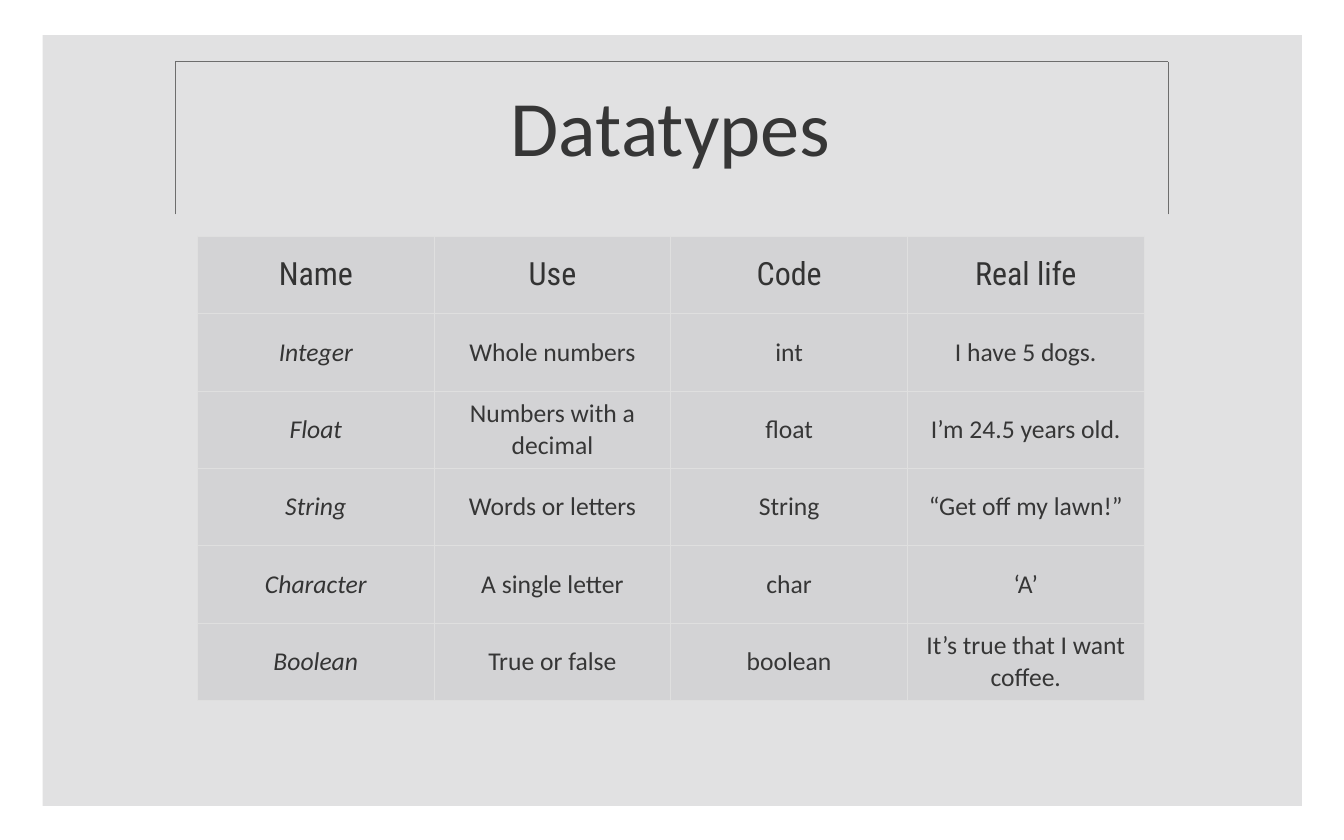
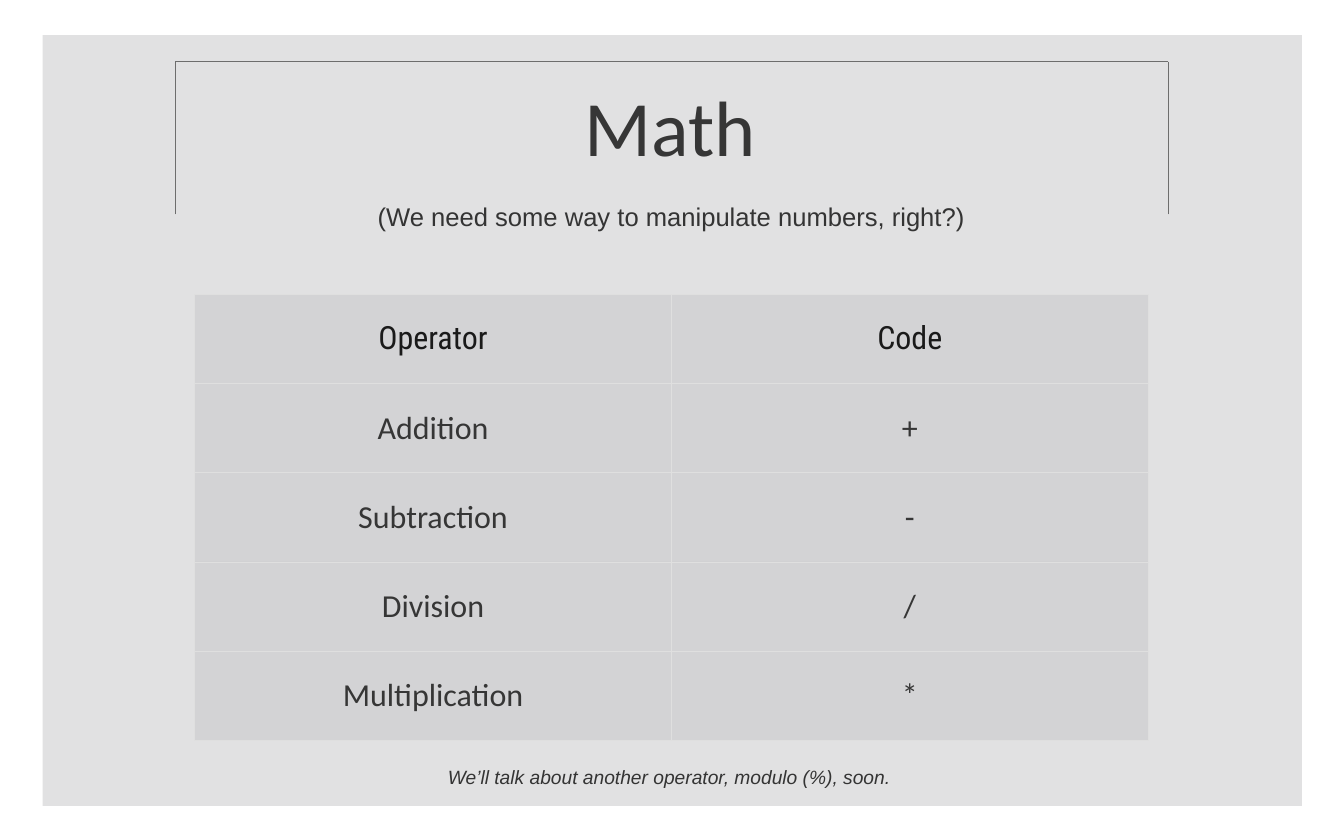
from dataclasses import dataclass
from lxml import etree
from pptx import Presentation
from pptx.dml.color import RGBColor
from pptx.enum.shapes import MSO_CONNECTOR, MSO_SHAPE
from pptx.enum.text import MSO_ANCHOR, PP_ALIGN
from pptx.oxml.ns import qn
from pptx.util import Inches, Pt

RECT, LINE = MSO_SHAPE.RECTANGLE, MSO_CONNECTOR.STRAIGHT
CENTER, MIDDLE = PP_ALIGN.CENTER, MSO_ANCHOR.MIDDLE


# Colours, fonts and type sizes
@dataclass(frozen=True)
class Theme:
    gray: str = "B5B5B7"
    frame: str = "6D6D6D"
    grid: str = "DFDFDF"
    ink: str = "363636"
    note: str = "343434"
    body: str = "Calibri"
    head: str = "Roboto Condensed"
    plain: str = "Arial"
    title: int = 98
    large: int = 40
    normal: int = 32
    small: int = 24
    rule: float = 0.96


T = Theme()
WIDTH, HEIGHT = 23.34, 14.58

# Content
SLIDES = [
    {
        "title": "Datatypes",
        "table": {
            "box": (3.43, 4.1, 16.44, 8.06),
            "head": "333333", "size": T.normal, "slant": True,
            "rows": [
                ("Name", "Use", "Code", "Real life"),
                ("Integer", "Whole numbers", "int", "I have 5 dogs."),
                ("Float", "Numbers with a decimal", "float",
                 "I’m 24.5 years old."),
                ("String", "Words or letters", "String",
                 "“Get off my lawn!”"),
                ("Character", "A single letter", "char", "‘A’"),
                ("Boolean", "True or false", "boolean",
                 "It’s true that I want coffee."),
            ],
        },
        "notes": [],
    },
    {
        "title": "Math",
        "table": {
            "box": (3.38, 5.11, 16.56, 7.74),
            "head": "1A1A1A", "size": T.large, "slant": False,
            "rows": [
                ("Operator", "Code"),
                ("Addition", "+"),
                ("Subtraction", "-"),
                ("Division", "/"),
                ("Multiplication", "*"),
            ],
        },
        "notes": [
            ("(We need some way to manipulate numbers, right?)",
             (3.53, 3.39, 16.26, 0.62), T.normal, False),
            ("We’ll talk about another operator, modulo (%), soon.",
             (3.49, 13.2, 16.26, 0.5), T.small, True),
        ],
    },
]


def write(frame, text, size, font=T.body, color=T.ink, italic=False,
          spacing=None):
    frame.word_wrap = True
    para = frame.paragraphs[0]
    para.alignment = CENTER
    if spacing:
        para.line_spacing = spacing
    run = para.add_run()
    run.text = text
    run.font.size, run.font.name, run.font.italic = Pt(size), font, italic
    run.font.color.rgb = RGBColor.from_string(color)


def add_text(slide, text, box, **form):
    frame = slide.shapes.add_textbox(*map(Inches, box)).text_frame
    frame.margin_left = frame.margin_right = 0
    frame.margin_top = frame.margin_bottom = 0
    frame.vertical_anchor = MIDDLE
    write(frame, text, **form)


def tint(fill, node, alpha):
    """Fill with translucent gray; alpha is in percent."""
    fill.solid()
    fill.fore_color.rgb = RGBColor.from_string(T.gray)
    color = node.find(qn("a:solidFill")).find(qn("a:srgbClr"))
    etree.SubElement(color, qn("a:alpha"), val=str(alpha * 1000))


def add_frame(slide):
    # Gray panel
    panel = slide.shapes.add_shape(
        RECT, *map(Inches, (0.74, 0.61, 21.87, 13.38)))
    panel.shadow.inherit = False
    panel.line.fill.background()
    tint(panel.fill, panel._element.spPr, 40)
    # Open bracket round the title
    left, right, top, foot = 3.04, 20.29, 1.07, 3.72
    for ends in ((left, foot, left, top), (right, foot, right, top),
                 (right, top, left, top)):
        line = slide.shapes.add_connector(LINE, *map(Inches, ends))
        line.line.color.rgb = RGBColor.from_string(T.frame)
        line.line.width = Pt(1)
        etree.SubElement(line._element.spPr, qn("a:effectLst"))


def add_grid(cell):
    props = cell._tc.get_or_add_tcPr()
    for i, side in enumerate("LRTB"):
        edge = etree.Element(qn("a:ln" + side), w=str(Pt(T.rule)))
        fill = etree.SubElement(edge, qn("a:solidFill"))
        etree.SubElement(fill, qn("a:srgbClr"), val=T.grid)
        props.insert(i, edge)


def add_table(slide, data):
    rows = data["rows"]
    x, y, w, h = data["box"]
    table = slide.shapes.add_table(
        len(rows), len(rows[0]), *map(Inches, (x, y, w, h))).table
    for col in table.columns:
        col.width = Inches(w / len(rows[0]))
    for row in table.rows:
        row.height = Inches(h / len(rows))
    for r, row in enumerate(rows):
        for c, text in enumerate(row):
            cell = table.cell(r, c)
            cell.margin_left = cell.margin_right = Inches(0.06)
            cell.margin_top = cell.margin_bottom = Inches(0.05)
            cell.vertical_anchor = MIDDLE
            tint(cell.fill, cell._tc.get_or_add_tcPr(), 30)
            add_grid(cell)
            if r == 0:
                form = {"size": T.large, "font": T.head,
                        "color": data["head"]}
            elif c == 0 and data["slant"]:
                form = {"size": data["size"], "color": T.note,
                        "italic": True}
            else:
                form = {"size": data["size"]}
            write(cell.text_frame, text, **form)


def main():
    deck = Presentation()
    deck.slide_width, deck.slide_height = Inches(WIDTH), Inches(HEIGHT)
    for data in SLIDES:
        slide = deck.slides.add_slide(deck.slide_layouts[6])
        add_frame(slide)
        add_text(slide, data["title"], (3.77, 1.34, 15.75, 1.68),
                 size=T.title)
        add_table(slide, data["table"])
        for text, box, size, italic in data["notes"]:
            add_text(slide, text, box, size=size, font=T.plain,
                     color=T.note, italic=italic, spacing=1.2)
    deck.save("out.pptx")


if __name__ == "__main__":
    main()
